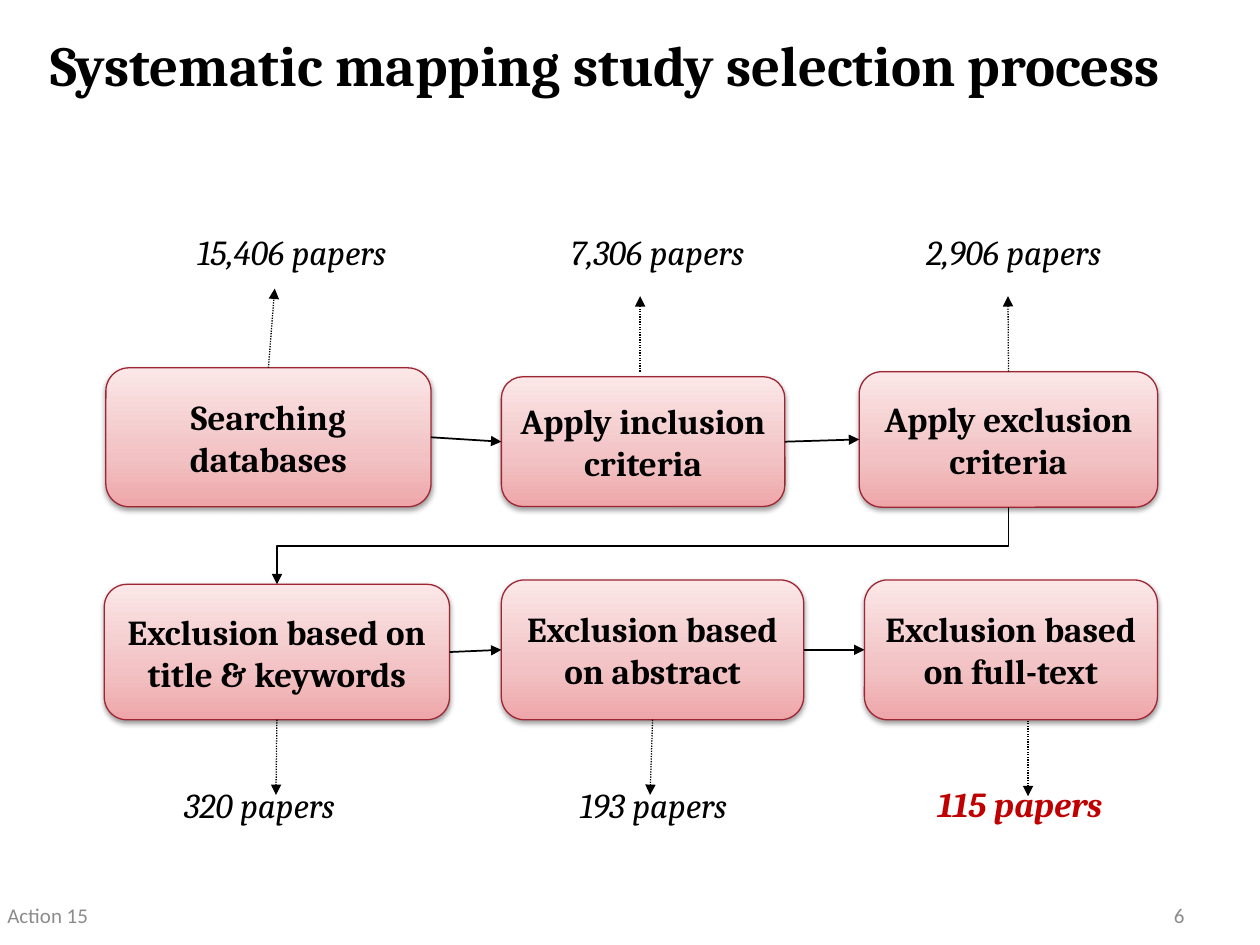
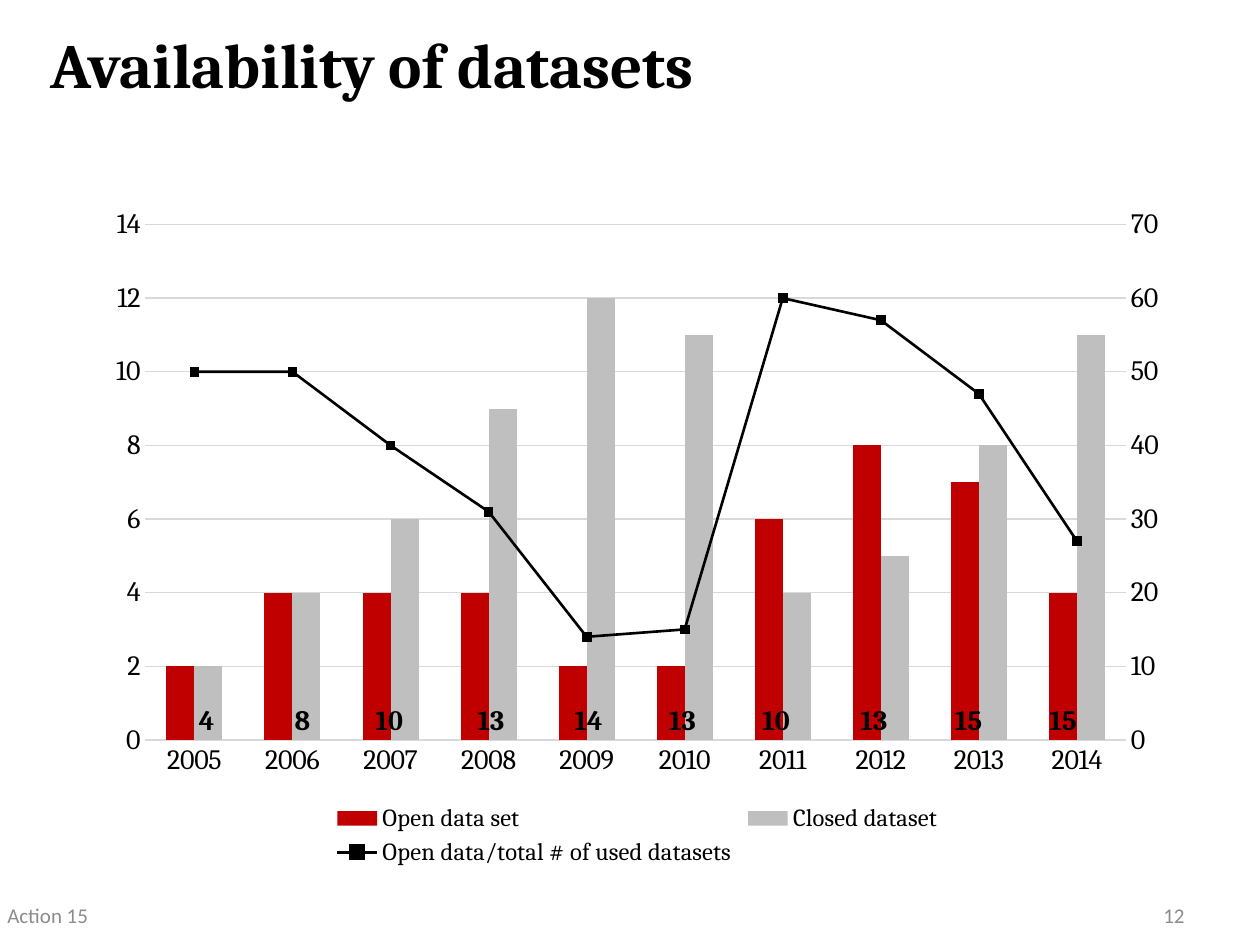
from copy import deepcopy
from dataclasses import dataclass
from typing import Any, Optional

from pptx import Presentation
from pptx.chart.axis import CategoryAxis, ValueAxis
from pptx.chart.chart import Chart
from pptx.chart.data import CategoryChartData
from pptx.dml.color import RGBColor
from pptx.enum.chart import XL_CHART_TYPE, XL_LEGEND_POSITION, XL_MARKER_STYLE, XL_TICK_MARK
from pptx.enum.dml import MSO_LINE
from pptx.enum.shapes import MSO_CONNECTOR, MSO_SHAPE
from pptx.enum.text import MSO_ANCHOR, PP_ALIGN
from pptx.oxml import parse_xml
from pptx.oxml.ns import nsdecls, qn
from pptx.shapes.autoshape import Shape
from pptx.shapes.connector import Connector
from pptx.slide import Slide
from pptx.util import Pt

LEFT, CENTER, RIGHT = PP_ALIGN.LEFT, PP_ALIGN.CENTER, PP_ALIGN.RIGHT
TOP, MIDDLE = MSO_ANCHOR.TOP, MSO_ANCHOR.MIDDLE
STRAIGHT, ELBOW = MSO_CONNECTOR.STRAIGHT, MSO_CONNECTOR.ELBOW
DOTTED = MSO_LINE.ROUND_DOT
ROUNDED = MSO_SHAPE.ROUNDED_RECTANGLE
COLUMNS = XL_CHART_TYPE.COLUMN_CLUSTERED
LEGEND_BOTTOM = XL_LEGEND_POSITION.BOTTOM
NO_TICK = XL_TICK_MARK.NONE
SQUARE = XL_MARKER_STYLE.SQUARE
SIDE_TOP, SIDE_LEFT, SIDE_BOTTOM, SIDE_RIGHT = range(4)

BLACK, RED, GREY, GRID, FOOTER = "000000", "C00000", "BFBFBF", "D9D9D9", "8C8C8C"
STAGE_LINE = "9E2533"
STAGE_STOPS = [(0, "EEA6A9"), (0.35, "F2C1C3"), (1, "FBE7E7")]
HEADING, BODY = "Cambria", "Calibri"

Point = tuple[float, float]
Frame = tuple[float, float, float, float]

TITLE_FRAME: Frame = (21.6, 5, 676.8, 62.6)
FOOTER_FRAME: Frame = (-2.9, 508.3, 228.2, 28.8)
NUMBER_FRAME: Frame = (516.2, 508.3, 167.8, 28.8)
CHART_FRAME: Frame = (54, 111.6, 620.6, 386.6)


@dataclass(frozen=True)
class TextStyle:
    size: float
    color: str = BLACK
    font: str = HEADING
    bold: bool = False
    italic: bool = False
    align: PP_ALIGN = LEFT
    anchor: MSO_ANCHOR = TOP


@dataclass(frozen=True)
class Stage:
    """A step of the selection; its stem joins the box unless stem_start is given."""

    name: str
    frame: Frame
    papers: str
    papers_frame: Frame
    stem_tip: Point
    stem_start: Optional[Point] = None


STAGE_STYLE = TextStyle(20, bold=True, align=CENTER, anchor=MIDDLE)
PAPERS_STYLE = TextStyle(20, italic=True, align=CENTER)
FINAL_STYLE = TextStyle(20, RED, bold=True, italic=True, align=CENTER)
FOOTER_STYLE = TextStyle(12, FOOTER, BODY, anchor=MIDDLE)
NUMBER_STYLE = TextStyle(12, FOOTER, BODY, align=RIGHT, anchor=MIDDLE)
TOTAL_STYLE = TextStyle(16, bold=True)

UPPER_STAGES = [
    Stage("Searching databases", (60.5, 210.2, 185.8, 79.4), "15,406 papers",
          (68.4, 128.2, 196.6, 31.7), (157, 164.9)),
    Stage("Apply inclusion criteria", (286.5, 215.3, 162, 74.2), "7,306 papers",
          (256.3, 128.2, 239, 40.3), (365.8, 169.2), (365.8, 212.4)),
    Stage("Apply exclusion criteria", (491, 212.4, 170.6, 77.4), "2,906 papers",
          (494.6, 128.2, 169.2, 40.3), (576, 169.2)),
]
LOWER_STAGES = [
    Stage("Exclusion based on title & keywords", (59.6, 333.9, 197.3, 77.4), "320 papers",
          (65.5, 444.2, 165.6, 40.3), (157.7, 454.3)),
    Stage("Exclusion based on abstract", (286.5, 331.4, 172.8, 79.9), "193 papers",
          (265, 444.2, 216.7, 52.6), (371.5, 454.3)),
    Stage("Exclusion based on full-text", (494, 331.4, 167.4, 79.9), "115 papers",
          (504.7, 443.5, 156.2, 40.3), (587.5, 455), (587.5, 411.8)),
]

YEARS = [str(year) for year in range(2005, 2015)]
OPEN_SETS = [2, 4, 4, 4, 2, 2, 6, 8, 7, 4]
CLOSED_SETS = [2, 4, 6, 9, 12, 11, 4, 5, 8, 11]
OPEN_SHARE = [50, 50, 40, 31, 14, 15, 60, 57, 47, 27]
TOTAL_LEFTS = [106.6, 161.3, 207.4, 265.7, 321.1, 375.1, 428.4, 484.6, 538.6, 592.6]
TOTAL_WIDTHS = [31, 31, 36.7, 51.1, 51.1, 51.1, 51.1, 39.6, 51.1, 51.1]


def rgb(value: str) -> RGBColor:
    return RGBColor.from_string(value)


def points(values: tuple[float, ...]) -> list[Pt]:
    return [Pt(value) for value in values]


def apply_format(target: Any, values: dict[str, Any]) -> None:
    for name, value in values.items():
        setattr(target, name, value)


def style_font(font: Any, style: TextStyle) -> None:
    apply_format(font, {"name": style.font, "size": Pt(style.size),
                        "bold": style.bold, "italic": style.italic})
    font.color.rgb = rgb(style.color)


def style_line(line: Any, color: str, width: float) -> None:
    line.color.rgb = rgb(color)
    line.width = Pt(width)


def write(box: Shape, text: str, style: TextStyle) -> None:
    apply_format(box.text_frame, {"word_wrap": True, "vertical_anchor": style.anchor})
    para = box.text_frame.paragraphs[0]
    para.alignment = style.align
    span = para.add_run()
    span.text = text
    style_font(span.font, style)


def add_text(page: Slide, frame: Frame, text: str, style: TextStyle) -> None:
    write(page.shapes.add_textbox(*points(frame)), text, style)


def add_page(deck: Any, title: str, title_size: float, number: int) -> Slide:
    page = deck.slides.add_slide(deck.slide_layouts[6])
    add_text(page, TITLE_FRAME, title, TextStyle(title_size, bold=True, anchor=MIDDLE))
    add_text(page, FOOTER_FRAME, "Action 15", FOOTER_STYLE)
    add_text(page, NUMBER_FRAME, str(number), NUMBER_STYLE)
    return page


def add_stage_box(page: Slide, stage: Stage) -> Shape:
    box = page.shapes.add_shape(ROUNDED, *points(stage.frame))
    box.fill.gradient()
    box.fill.gradient_angle = 90
    stop_list = next(box._element.spPr.iter(qn("a:gsLst")))
    stop_list.append(deepcopy(stop_list[0]))
    for stop, (position, color) in zip(box.fill.gradient_stops, STAGE_STOPS):
        stop.position = position
        stop.color.rgb = rgb(color)
    style_line(box.line, STAGE_LINE, 0.75)
    box._element.spPr.append(parse_xml(
        f'<a:effectLst {nsdecls("a")}><a:outerShdw blurRad="{Pt(3.1)}" dist="{Pt(1.6)}" '
        f'dir="5400000" rotWithShape="0"><a:srgbClr val="{BLACK}"><a:alpha val="38000"/>'
        '</a:srgbClr></a:outerShdw></a:effectLst>'))
    margins = ("margin_left", "margin_top", "margin_right", "margin_bottom")
    apply_format(box.text_frame, dict.fromkeys(margins, 0))
    write(box, stage.name, STAGE_STYLE)
    return box


def add_arrow(page: Slide, start: Point, end: Point, width: float = 1,
              kind: MSO_CONNECTOR = STRAIGHT, dash: Optional[MSO_LINE] = None) -> Connector:
    arrow = page.shapes.add_connector(kind, *points(start + end))
    style_line(arrow.line, BLACK, width)
    if dash is not None:
        arrow.line.dash_style = dash
    properties = arrow._element.spPr
    properties.find(qn("a:ln")).append(
        parse_xml(f'<a:tailEnd {nsdecls("a")} type="triangle"/>'))
    properties.append(parse_xml(f'<a:effectLst {nsdecls("a")}/>'))
    return arrow


def side_middle(frame: Frame, side: int) -> Point:
    left, top, width, height = frame
    return {SIDE_TOP: (left + width / 2, top),
            SIDE_LEFT: (left, top + height / 2),
            SIDE_BOTTOM: (left + width / 2, top + height),
            SIDE_RIGHT: (left + width, top + height / 2)}[side]


def add_stage_row(page: Slide, stages: list[Stage], stem_side: int) -> None:
    boxes = [add_stage_box(page, stage) for stage in stages]
    for index in range(len(stages) - 1):
        arrow = add_arrow(page, side_middle(stages[index].frame, SIDE_RIGHT),
                          side_middle(stages[index + 1].frame, SIDE_LEFT))
        arrow.begin_connect(boxes[index], SIDE_RIGHT)
        arrow.end_connect(boxes[index + 1], SIDE_LEFT)
    for stage, box in zip(stages, boxes):
        style = FINAL_STYLE if stage is LOWER_STAGES[-1] else PAPERS_STYLE
        add_text(page, stage.papers_frame, stage.papers, style)
        start = stage.stem_start or side_middle(stage.frame, stem_side)
        stem = add_arrow(page, start, stage.stem_tip, 0.75, dash=DOTTED)
        if stage.stem_start is None:
            stem.begin_connect(box, stem_side)


def add_row_return(page: Slide) -> None:
    """Leads from the end of the upper row to the start of the lower one, turned by 90°."""
    start_x, start_y = side_middle(UPPER_STAGES[-1].frame, SIDE_BOTTOM)
    end_x, end_y = side_middle(LOWER_STAGES[0].frame, SIDE_TOP)
    middle_x, middle_y = (start_x + end_x) / 2, (start_y + end_y) / 2
    half_drop, half_span = (end_y - start_y) / 2, (start_x - end_x) / 2
    arrow = add_arrow(page, (middle_x - half_drop, middle_y - half_span),
                      (middle_x + half_drop, middle_y + half_span), kind=ELBOW)
    arrow._element.spPr.find(qn("a:xfrm")).set("rot", "5400000")


def move_share_to_right_axis(chart: Chart) -> None:
    """Turns the last series into a line with its own value axis on the right."""
    area = chart._chartSpace.chart.plotArea
    columns = area.find(qn("c:barChart"))
    share = columns.findall(qn("c:ser"))[-1]
    for bar_only in share.findall(qn("c:invertIfNegative")):
        share.remove(bar_only)
    lines = parse_xml(
        f'<c:lineChart {nsdecls("c")}><c:grouping val="standard"/><c:varyColors val="0"/>'
        '<c:marker val="1"/><c:axId val="5001"/><c:axId val="5002"/></c:lineChart>')
    lines.insert(2, share)
    columns.addnext(lines)

    years = deepcopy(area.find(qn("c:catAx")))
    values = deepcopy(area.find(qn("c:valAx")))
    area.find(qn("c:valAx")).addnext(values)
    values.addnext(years)
    for axis, own, other in ((years, "5001", "5002"), (values, "5002", "5001")):
        axis.find(qn("c:axId")).set("val", own)
        axis.find(qn("c:crossAx")).set("val", other)
    values.find(qn("c:axPos")).set("val", "r")
    values.find(qn("c:crosses")).set("val", "max")
    CategoryAxis(years).visible = False
    apply_format(ValueAxis(values), {"maximum_scale": 70, "major_unit": 10,
                                     "has_major_gridlines": False})


def add_dataset_chart(page: Slide) -> None:
    data = CategoryChartData()
    data.categories = YEARS
    data.add_series("Open data set", OPEN_SETS)
    data.add_series("Closed dataset", CLOSED_SETS)
    data.add_series("Open data/total # of used datasets", OPEN_SHARE)
    chart = page.shapes.add_chart(COLUMNS, *points(CHART_FRAME), data).chart
    apply_format(chart, {"has_title": False, "has_legend": True})
    style_font(chart.font, TextStyle(10, font=BODY))
    apply_format(chart.legend, {"position": LEGEND_BOTTOM, "include_in_layout": False})
    style_font(chart.legend.font, TextStyle(14))

    for axis in (chart.category_axis, chart.value_axis):
        apply_format(axis, {"major_tick_mark": NO_TICK, "minor_tick_mark": NO_TICK})
        style_font(axis.tick_labels.font, TextStyle(16))
    style_line(chart.category_axis.format.line, GRID, 0.75)
    apply_format(chart.value_axis, {"minimum_scale": 0, "maximum_scale": 14, "major_unit": 2})
    chart.value_axis.format.line.fill.background()
    style_line(chart.value_axis.major_gridlines.format.line, GRID, 0.75)
    move_share_to_right_axis(chart)

    columns, lines = chart.plots
    apply_format(columns, {"gap_width": 150, "overlap": 0, "vary_by_categories": False})
    for series, color in zip(columns.series, (RED, GREY)):
        series.format.fill.solid()
        series.format.fill.fore_color.rgb = rgb(color)
    share = lines.series[0]
    share.smooth = False
    style_line(share.format.line, BLACK, 1.5)
    apply_format(share.marker, {"style": SQUARE, "size": 5})
    share.marker.format.fill.solid()
    share.marker.format.fill.fore_color.rgb = rgb(BLACK)
    style_line(share.marker.format.line, BLACK, 0.75)


def add_dataset_totals(page: Slide) -> None:
    for left, width, opened, closed in zip(TOTAL_LEFTS, TOTAL_WIDTHS, OPEN_SETS, CLOSED_SETS):
        add_text(page, (left, 398.2, width, 26.6), str(opened + closed), TOTAL_STYLE)


def main() -> None:
    deck = Presentation()
    apply_format(deck, {"slide_width": Pt(720), "slide_height": Pt(540)})
    process = add_page(deck, "Systematic mapping study selection process", 32.4, 6)
    add_stage_row(process, UPPER_STAGES, SIDE_TOP)
    add_row_return(process)
    add_stage_row(process, LOWER_STAGES, SIDE_BOTTOM)
    datasets = add_page(deck, "Availability of datasets", 36, 12)
    add_dataset_chart(datasets)
    add_dataset_totals(datasets)
    deck.save("out.pptx")


if __name__ == "__main__":
    main()
